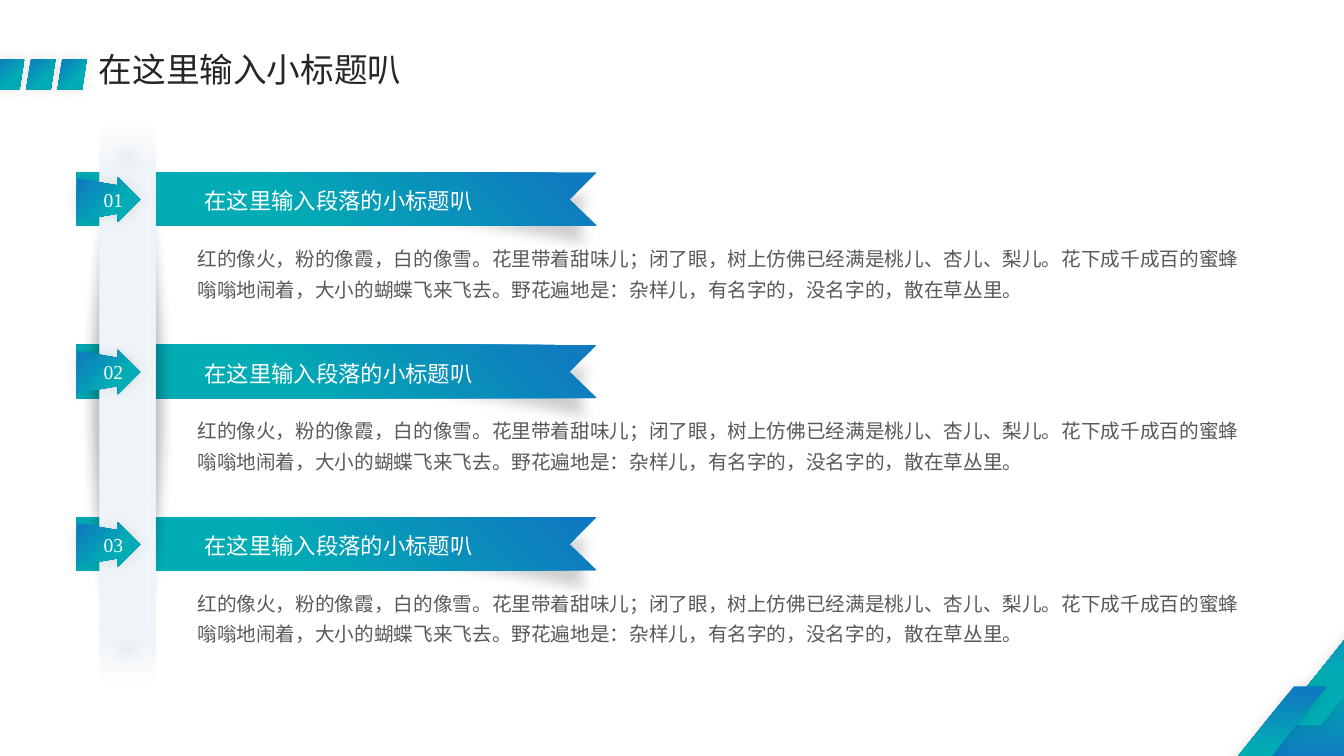
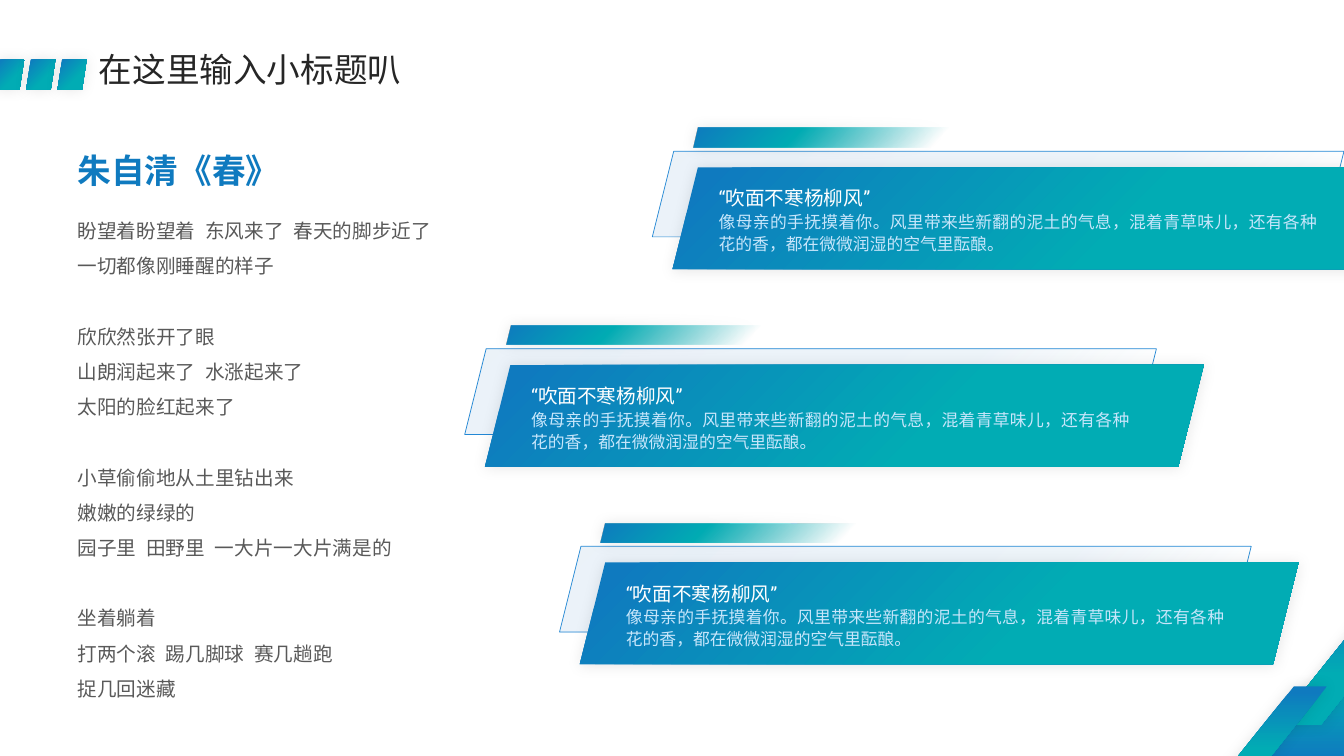
from dataclasses import dataclass
from lxml import etree
from pptx import Presentation
from pptx.dml.color import RGBColor
from pptx.enum.shapes import MSO_SHAPE
from pptx.enum.text import MSO_ANCHOR, MSO_AUTO_SIZE, PP_ALIGN
from pptx.oxml.ns import qn
from pptx.util import Inches, Pt

PARALLELOGRAM, OVAL, RECT = MSO_SHAPE.PARALLELOGRAM, MSO_SHAPE.OVAL, MSO_SHAPE.RECTANGLE
LEFT, CENTER, JUSTIFY = PP_ALIGN.LEFT, PP_ALIGN.CENTER, PP_ALIGN.JUSTIFY
MIDDLE, TOP = MSO_ANCHOR.MIDDLE, MSO_ANCHOR.TOP


@dataclass(frozen=True)
class Theme:
    blue: str = "0F7ABF"
    teal: str = "01ACB4"
    outline: str = "2388D5"
    plate: str = "BCD6ED"
    rail: str = "EFF4F8"
    pale: str = "C7E6FB"
    white: str = "FFFFFF"
    black: str = "000000"
    ink: str = "262626"
    grey: str = "595959"
    heading_font: str = "Noto Sans CJK SC"
    body_font: str = "Roboto"
    number_font: str = "Times New Roman"
    title: int = 24
    subtitle: int = 16
    body: int = 14
    small: int = 12


T = Theme()
BRAND = [(5, T.blue, 100), (63, T.teal, 100)]
TAB_FADE = [(0, T.blue, 100), (35, T.teal, 100), (82, T.teal, 0)]
PLATE_FADE = [(0, T.plate, 30), (67, T.plate, 25), (93, T.plate, 0)]
RAIL_FADE = [(0, T.rail, 0), (8, T.rail, 100), (92, T.rail, 100), (100, T.rail, 0)]

TITLE = "在这里输入小标题叭"
ITEM_HEAD = "在这里输入段落的小标题叭"
ITEM_TEXT = ("红的像火，粉的像霞，白的像雪。花里带着甜味儿；闭了眼，树上仿佛已经满是桃儿、杏儿、梨儿。"
             "花下成千成百的蜜蜂嗡嗡地闹着，大小的蝴蝶飞来飞去。野花遍地是：杂样儿，有名字的，没名字的，散在草丛里。")
ITEMS = [(n, ITEM_HEAD, ITEM_TEXT) for n in ("01", "02", "03")]
POEM_TITLE = "朱自清《春》"
STANZAS = [
    ["盼望着盼望着  东风来了  春天的脚步近了", "一切都像刚睡醒的样子"],
    ["欣欣然张开了眼", "山朗润起来了  水涨起来了", "太阳的脸红起来了"],
    ["小草偷偷地从土里钻出来", "嫩嫩的绿绿的", "园子里  田野里  一大片一大片满是的"],
    ["坐着躺着", "打两个滚  踢几脚球  赛几趟跑", "捉几回迷藏"],
]
QUOTE = "“吹面不寒杨柳风”"
QUOTE_TEXT = "像母亲的手抚摸着你。风里带来些新翻的泥土的气息，混着青草味儿，还有各种花的香，都在微微润湿的空气里酝酿。"
CARDS = [(left, QUOTE, QUOTE_TEXT) for left in (6.67, 4.81, 5.75)]

CORNER = [((12.42, 6.26, 2.17, 1.35), 0.79, 270),
          ((12.66, 5.87, 1.5, 1.32), 0.8, 90),
          ((12.04, 6.81, 1.12, 0.99), 0.8, 90)]
TITLE_MARKS = [((-0.05 + 0.31 * i, 0.59, 0.29, 0.3), 0.16, 45) for i in range(3)]

ITEM_TOP, ITEM_STEP = 1.71, 1.71
CARD_TOP, CARD_STEP = 1.66, 1.96
RIBBON = [(0.76, 0), (5.92, 0), (5.65, 0.27), (5.92, 0.53), (0.76, 0.53)]
ARROW = [(0.76, 0.06), (1.17, 0.13), (1.17, 0.05), (1.39, 0.27),
         (1.17, 0.49), (1.17, 0.41), (0.76, 0.48)]


def bezier(a, b, c, d, steps=8):
    ts = [i / steps for i in range(1, steps + 1)]
    return [tuple((1 - t) ** 3 * p + 3 * (1 - t) ** 2 * t * q + 3 * (1 - t) * t * t * r + t ** 3 * s
                  for p, q, r, s in zip(a, b, c, d)) for t in ts]


RIBBON_SHADE = [(0.81, 0.06), (6.27, -0.05), (5.88, 0.32), (6.23, 0.8)]
RIBBON_SHADE += bezier((6.23, 0.8), (4.65, 0.49), (3.1, 0.51), (1.53, 0.31))
RIBBON_SHADE += bezier((1.53, 0.31), (1.09, 0.04), (1.2, 0.21), (0.81, 0.06))


def color_xml(parent, color, alpha):
    clr = etree.SubElement(parent, qn("a:srgbClr"), val=color)
    if alpha < 100:
        etree.SubElement(clr, qn("a:alpha"), val=str(alpha * 1000))


def paint(sp, stops, angle=45, line=None):
    sp.fill.solid()
    solid = sp._element.spPr.find(qn("a:solidFill"))
    grad = etree.Element(qn("a:gradFill"), rotWithShape="1")
    gs_list = etree.SubElement(grad, qn("a:gsLst"))
    for pos, color, alpha in stops:
        color_xml(etree.SubElement(gs_list, qn("a:gs"), pos=str(pos * 1000)), color, alpha)
    etree.SubElement(grad, qn("a:lin"), ang=str(angle * 60000), scaled="0")
    solid.getparent().replace(solid, grad)
    finish(sp, line)


def finish(sp, line=None):
    sp.shadow.inherit = False
    if line:
        sp.line.color.rgb = RGBColor.from_string(line)
        sp.line.width = Pt(0.5)
    else:
        sp.line.fill.background()


def glow(sp):
    effects = sp._element.spPr.find(qn("a:effectLst"))
    shadow = etree.SubElement(effects, qn("a:outerShdw"), blurRad=str(Pt(10)), dist="0",
                              dir=str(315 * 60000), algn="ctr", rotWithShape="0")
    color_xml(shadow, T.black, 10)


def soft_shade(sp, alpha, radius):
    sp.fill.solid()
    sp.fill.fore_color.rgb = RGBColor.from_string(T.black)
    clr = sp._element.spPr.find(qn("a:solidFill"))[0]
    etree.SubElement(clr, qn("a:alpha"), val=str(alpha * 1000))
    finish(sp)
    effects = sp._element.spPr.find(qn("a:effectLst"))
    etree.SubElement(effects, qn("a:softEdge"), rad=str(Pt(radius)))


def add_preset(s, kind, box, adj=None):
    sp = s.shapes.add_shape(kind, *map(Inches, box))
    if adj is not None:
        sp.adjustments[0] = adj
    return sp


def add_outline(s, points, top):
    pts = [(Inches(x), Inches(top + y)) for x, y in points]
    fb = s.shapes.build_freeform(*pts[0])
    fb.add_line_segments(pts[1:], close=True)
    return fb.convert_to_shape()


def write(p, text, size, color, font=T.body_font, align=LEFT, spacing=1.0,
          before=0, after=0, bold=False):
    p.text = text
    p.alignment, p.line_spacing = align, spacing
    p.space_before, p.space_after = Pt(before), Pt(after)
    for r in p.runs:
        r.font.size, r.font.bold, r.font.name = Pt(size), bold, font
        r.font.color.rgb = RGBColor.from_string(color)
        etree.SubElement(r._r.get_or_add_rPr(), qn("a:ea"), typeface=font)


def add_text(s, box, wrap=True):
    tf = s.shapes.add_textbox(*map(Inches, box)).text_frame
    tf.word_wrap = wrap
    return tf


def set_up_master(prs, s):
    master = prs.slide_master
    for i, (box, adj, angle) in enumerate(CORNER + TITLE_MARKS):
        sp = add_preset(s, PARALLELOGRAM, box, adj)
        paint(sp, BRAND, angle)
        glow(sp)
        sp._element.nvSpPr.cNvPr.set("id", str(100 + i))
        master.shapes._spTree.append(sp._element)
    title = master.placeholders[0]
    title.left, title.top, title.width, title.height = map(Inches, (0.88, 0.52, 9.89, 0.39))


def add_slide(prs, layout):
    s = prs.slides.add_slide(prs.slide_layouts[layout])
    tf = s.shapes.title.text_frame
    tf.auto_size, tf.vertical_anchor = MSO_AUTO_SIZE.NONE, MIDDLE
    write(tf.paragraphs[0], TITLE, T.title, T.ink, T.heading_font, spacing=0.9)
    return s


def build_ribbons(s):
    tops = [ITEM_TOP + ITEM_STEP * i for i in range(len(ITEMS))]
    for top in tops:
        shade = add_outline(s, RIBBON_SHADE, top)
        shade.rotation = 3.4
        soft_shade(shade, 20, 10)
        paint(add_outline(s, RIBBON, top), BRAND, 135)
    soft_shade(add_preset(s, OVAL, (0.79, 1.24, 0.94, 5.53)), 30, 10)
    paint(add_preset(s, RECT, (0.99, 1.24, 0.55, 5.53)), RAIL_FADE, 90)
    for top, (number, head, text) in zip(tops, ITEMS):
        arrow = add_outline(s, ARROW, top)
        paint(arrow, BRAND)
        glow(arrow)
        tf = arrow.text_frame
        tf.margin_left, tf.word_wrap, tf.vertical_anchor = Inches(0.2), False, MIDDLE
        write(tf.paragraphs[0], number, T.body, T.white, T.number_font, CENTER)
        tf = add_text(s, (1.93, top + 0.1, 2.89, 0.37), wrap=False)
        write(tf.paragraphs[0], head, T.subtitle, T.white)
        tf = add_text(s, (1.86, top + 0.62, 10.68, 0.69))
        write(tf.paragraphs[0], text, T.body, T.grey, spacing=1.3)


def build_poem(s):
    body = s.placeholders[1]
    body.left, body.top, body.width, body.height = map(Inches, (0.67, 1.32, 4.4, 5.71))
    tf = body.text_frame
    tf.auto_size, tf.vertical_anchor = MSO_AUTO_SIZE.NONE, TOP
    write(tf.paragraphs[0], POEM_TITLE, T.title, T.blue, spacing=1.3, after=12, bold=True)
    for i, stanza in enumerate(STANZAS):
        for j, verse in enumerate(stanza):
            gap = 25 if i and not j else 0
            write(tf.add_paragraph(), verse, T.body, T.grey, spacing=1.5, before=gap)
    for p in tf.paragraphs:
        pPr = p._p.get_or_add_pPr()
        pPr.set("marL", "0")
        pPr.set("indent", "0")
        etree.SubElement(pPr, qn("a:buNone"))


def build_cards(s):
    for i, (left, head, text) in enumerate(CARDS):
        top = CARD_TOP + CARD_STEP * i
        plate = add_preset(s, PARALLELOGRAM, (left - 0.2, top - 0.16, 6.86, 0.85))
        paint(plate, PLATE_FADE, line=T.outline)
        for box, stops in (((left, top, 7.13, 1.01), BRAND),
                           ((left + 0.21, top - 0.39, 2.9, 0.19), TAB_FADE)):
            sp = add_preset(s, PARALLELOGRAM, box)
            paint(sp, stops)
            glow(sp)
        tf = add_text(s, (left + 0.36, top + 0.07, 6.14, 0.84))
        write(tf.paragraphs[0], head, T.body, T.white, align=JUSTIFY, spacing=1.3)
        write(tf.add_paragraph(), text, T.small, T.pale, align=JUSTIFY, spacing=1.1)


def main():
    prs = Presentation()
    prs.slide_width, prs.slide_height = Inches(13.33), Inches(7.5)
    ribbons = add_slide(prs, 5)
    set_up_master(prs, ribbons)
    build_ribbons(ribbons)
    poem = add_slide(prs, 1)
    build_poem(poem)
    build_cards(poem)
    prs.save("out.pptx")


if __name__ == "__main__":
    main()
